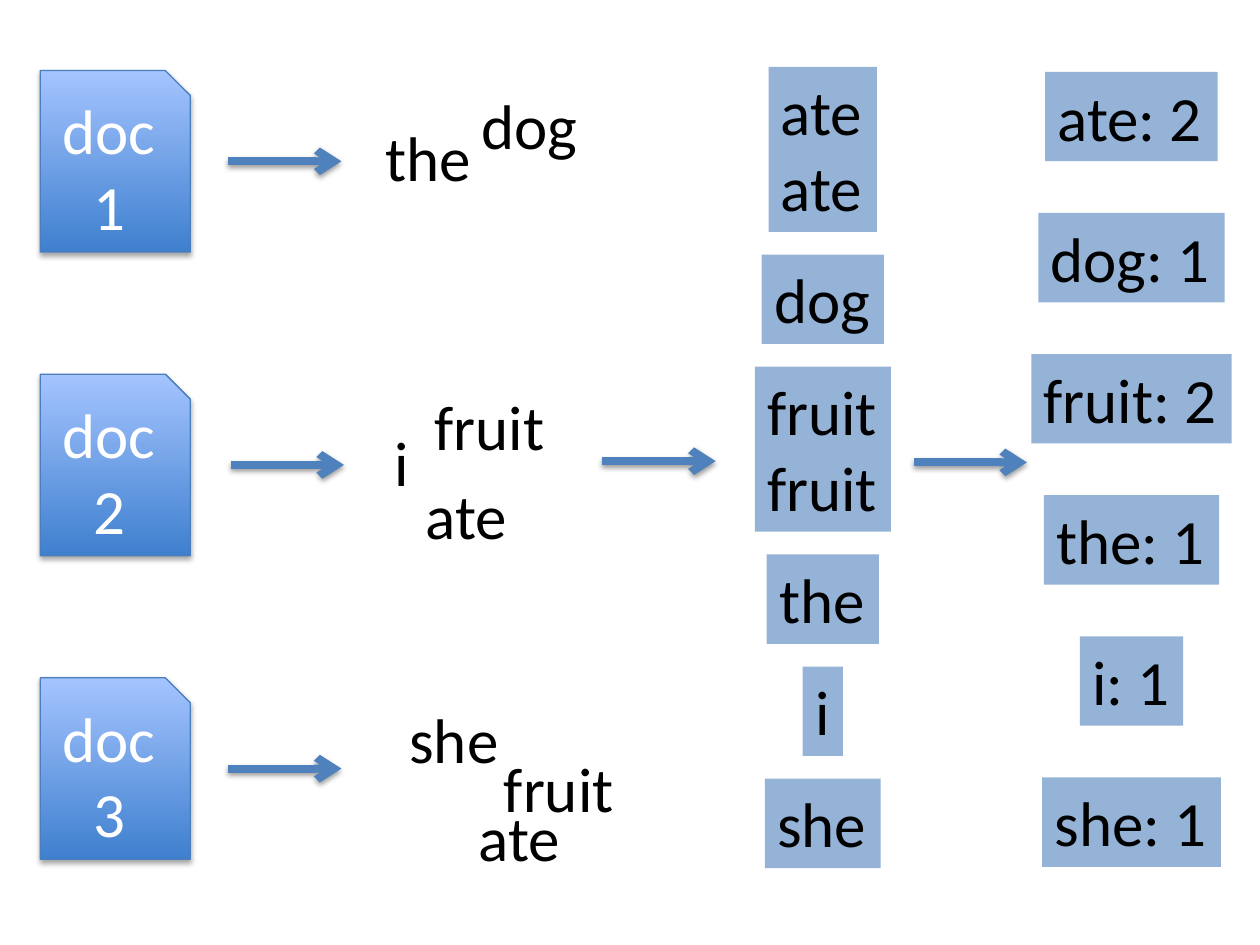
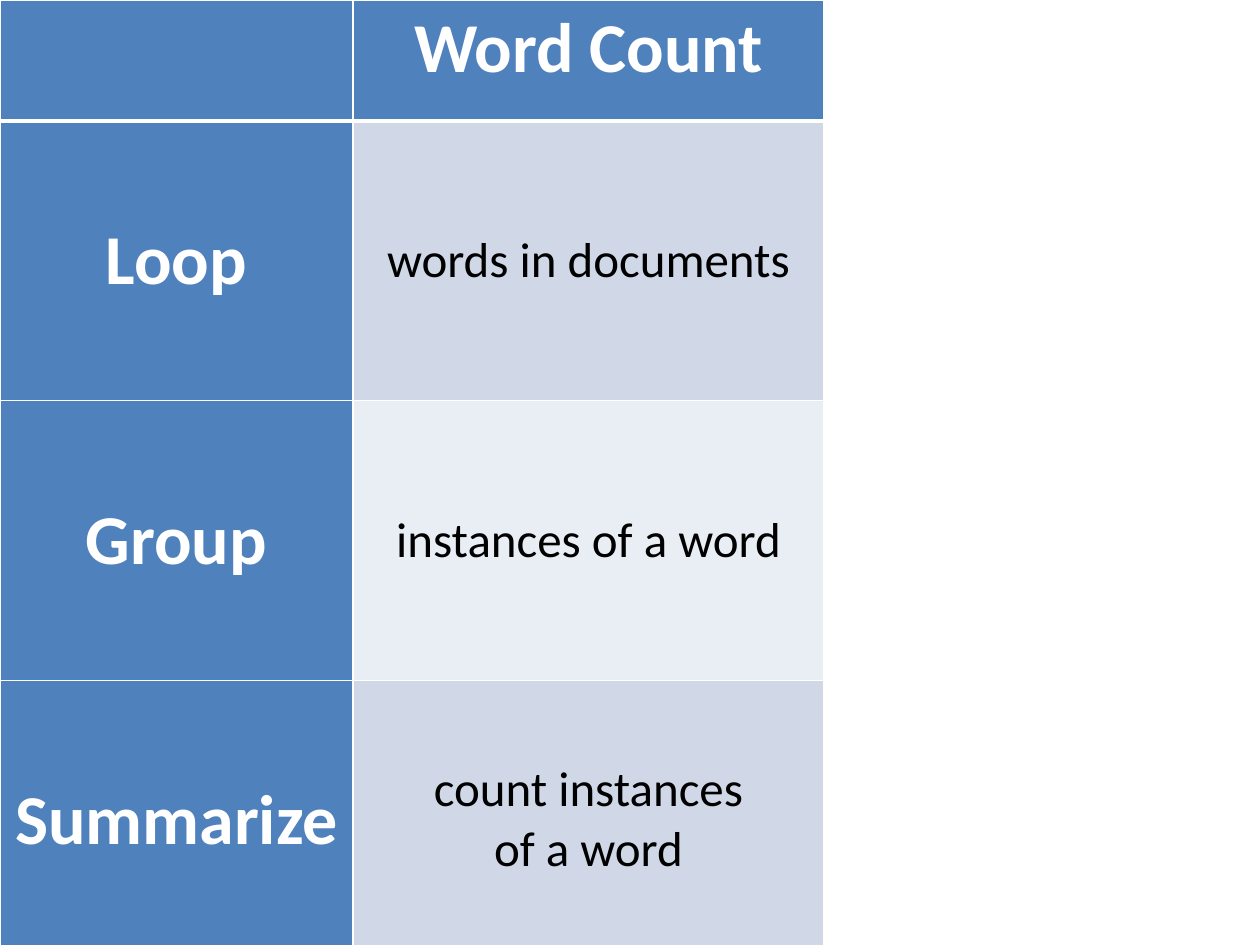
from lxml.etree import SubElement
from pptx import Presentation
from pptx.dml.color import RGBColor
from pptx.enum.shapes import MSO_CONNECTOR, MSO_SHAPE
from pptx.enum.text import MSO_ANCHOR, MSO_AUTO_SIZE, PP_ALIGN
from pptx.oxml.ns import qn
from pptx.util import Inches, Pt

# Shared look
FONT = "Calibri"
WHITE = RGBColor(0xFF, 0xFF, 0xFF)
BLACK = RGBColor(0x00, 0x00, 0x00)
BLUE = RGBColor(0x4F, 0x81, 0xBD)
OUTLINE = RGBColor(0x4B, 0x7E, 0xBC)
DEEP_BLUE = RGBColor(0x3F, 0x80, 0xCE)
PALE_BLUE = RGBColor(0xA4, 0xC4, 0xFF)
TAG_BLUE = RGBColor(0x95, 0xB3, 0xD7)
BAND_DARK = RGBColor(0xD0, 0xD8, 0xE8)
BAND_LIGHT = RGBColor(0xE9, 0xED, 0xF4)

WORD = {"size": Pt(36), "name": FONT, "bold": False}
HEADING = {"size": Pt(40), "name": FONT, "bold": True}
ENTRY = {"size": Pt(28), "name": FONT, "bold": False}

# Word count flow, lengths in inches
DOCUMENTS = ["doc 1", "doc 2", "doc 3"]
DOCUMENT_TOP, DOCUMENT_STEP = 0.56, 2.41
WORD_WIDTHS = {"the": 0.89, "dog": 0.97, "i": 0.32, "ate": 0.86,
               "fruit": 1.08, "she": 0.92}
LINE_HEIGHTS = {1: 0.71, 2: 1.31}
LOOSE_WORDS = [
    ("the", 2.96, 0.89), ("dog", 3.72, 0.64),
    ("i", 3.03, 3.31), ("ate", 3.28, 3.73), ("fruit", 3.35, 3.03),
    ("she", 3.15, 5.51), ("ate", 3.70, 6.29), ("fruit", 3.90, 5.90),
]
GROUPS = [("ate", 2), ("dog", 1), ("fruit", 2), ("the", 1), ("i", 1), ("she", 1)]
GROUP_CENTER, GROUP_TOP, GROUP_GAP = 6.53, 0.53, 0.18
COUNTS = [("ate: 2", 1.37), ("dog: 1", 1.48), ("fruit: 2", 1.59),
          ("the: 1", 1.39), ("i: 1", 0.82), ("she: 1", 1.42)]
COUNT_CENTER, COUNT_TOP, COUNT_STEP = 8.98, 0.57, 1.12
ARROWS = [(1.81, 1.28), (1.83, 3.69), (1.81, 6.10), (4.78, 3.66), (7.25, 3.67)]
ARROW_LENGTH = 0.9

# Summary table
TABLE_ROWS = [
    ([], ["Word Count"]),
    (["Loop"], ["words in documents"]),
    (["Group"], ["instances of a word"]),
    (["Summarize"], ["count instances", "of a word"]),
]
COLUMN_WIDTHS = [2.8, 3.74]
ROW_HEIGHTS = [0.96, 2.22, 2.22, 2.22]


def write(frame, lines, style, color, align):
    for index, line in enumerate(lines):
        para = frame.paragraphs[0] if index == 0 else frame.add_paragraph()
        para.alignment = align
        span = para.add_run()
        span.text = line
        for name, value in style.items():
            setattr(span.font, name, value)
        span.font.color.rgb = color


def add_shadow(item, opacity, distance):
    properties = item._element.spPr
    effects = properties.find(qn("a:effectLst"))
    if effects is None:
        effects = SubElement(properties, qn("a:effectLst"))
    shadow = SubElement(effects, qn("a:outerShdw"), blurRad=str(Pt(3.1)),
                        dist=str(Pt(distance)), dir="5400000", rotWithShape="0")
    color = SubElement(shadow, qn("a:srgbClr"), val=str(BLACK))
    SubElement(color, qn("a:alpha"), val=str(opacity * 1000))


def add_document(page, label, top):
    box = page.shapes.add_shape(MSO_SHAPE.SNIP_1_RECTANGLE, Inches(0.32),
                                Inches(top), Inches(1.19), Inches(1.44))
    box.fill.gradient()
    box.fill.gradient_angle = 90
    for stop, color in zip(box.fill.gradient_stops, (DEEP_BLUE, PALE_BLUE)):
        stop.color.rgb = color
    box.line.color.rgb = OUTLINE
    box.line.width = Pt(0.75)
    box.shadow.inherit = False
    add_shadow(box, 35, 1.8)
    box.text_frame.word_wrap = True
    box.text_frame.vertical_anchor = MSO_ANCHOR.MIDDLE
    write(box.text_frame, [label], WORD, WHITE, PP_ALIGN.CENTER)


def add_words(page, lines, left, top, width, fill=None):
    box = page.shapes.add_textbox(Inches(left), Inches(top), Inches(width),
                                  Inches(LINE_HEIGHTS[len(lines)]))
    if fill is not None:
        box.fill.solid()
        box.fill.fore_color.rgb = fill
    write(box.text_frame, lines, WORD, BLACK, PP_ALIGN.LEFT)
    box.text_frame.word_wrap = False
    box.text_frame.auto_size = MSO_AUTO_SIZE.SHAPE_TO_FIT_TEXT


def add_arrow(page, left, top):
    arrow = page.shapes.add_connector(
        MSO_CONNECTOR.STRAIGHT, Inches(left), Inches(top),
        Inches(left + ARROW_LENGTH), Inches(top))
    arrow.line.color.rgb = BLUE
    arrow.line.width = Pt(4.5)
    SubElement(arrow.line._get_or_add_ln(), qn("a:tailEnd"), type="arrow")
    add_shadow(arrow, 38, 1.6)


def add_borders(cell, bottom_width):
    properties = cell._tc.get_or_add_tcPr()
    widths = {"a:lnL": 1, "a:lnR": 1, "a:lnT": 1, "a:lnB": bottom_width}
    for side, width in widths.items():
        line = SubElement(properties, qn(side), w=str(Pt(width)))
        SubElement(SubElement(line, qn("a:solidFill")), qn("a:srgbClr"),
                   val=str(WHITE))


deck = Presentation()
deck.slide_width, deck.slide_height = Inches(10), Inches(7.5)
blank = deck.slide_layouts[6]

# Slide 1: documents, loose words, groups and counts
page = deck.slides.add_slide(blank)
for index, label in enumerate(DOCUMENTS):
    add_document(page, label, DOCUMENT_TOP + index * DOCUMENT_STEP)
for word, left, top in LOOSE_WORDS:
    add_words(page, [word], left, top, WORD_WIDTHS[word])
top = GROUP_TOP
for word, copies in GROUPS:
    width = WORD_WIDTHS[word]
    add_words(page, [word] * copies, GROUP_CENTER - width / 2, top, width, TAG_BLUE)
    top += LINE_HEIGHTS[copies] + GROUP_GAP
for index, (label, width) in enumerate(COUNTS):
    add_words(page, [label], COUNT_CENTER - width / 2,
              COUNT_TOP + index * COUNT_STEP, width, TAG_BLUE)
for left, top in ARROWS:
    add_arrow(page, left, top)

# Slide 2: the steps as a table
page = deck.slides.add_slide(blank)
table = page.shapes.add_table(
    len(ROW_HEIGHTS), len(COLUMN_WIDTHS), 0, 0,
    Inches(sum(COLUMN_WIDTHS)), Inches(sum(ROW_HEIGHTS))).table
table.first_col = True
for column, width in zip(table.columns, COLUMN_WIDTHS):
    column.width = Inches(width)
for row, height in zip(table.rows, ROW_HEIGHTS):
    row.height = Inches(height)
for row_index, row in enumerate(TABLE_ROWS):
    for column_index, lines in enumerate(row):
        cell = table.cell(row_index, column_index)
        is_heading = row_index == 0 or column_index == 0
        band = BAND_DARK if row_index % 2 else BAND_LIGHT
        add_borders(cell, 3 if row_index == 0 else 1)
        cell.fill.solid()
        cell.fill.fore_color.rgb = BLUE if is_heading else band
        cell.vertical_anchor = MSO_ANCHOR.MIDDLE if row_index else MSO_ANCHOR.TOP
        write(cell.text_frame, lines, HEADING if is_heading else ENTRY,
              WHITE if is_heading else BLACK, PP_ALIGN.CENTER)

deck.save("out.pptx")
